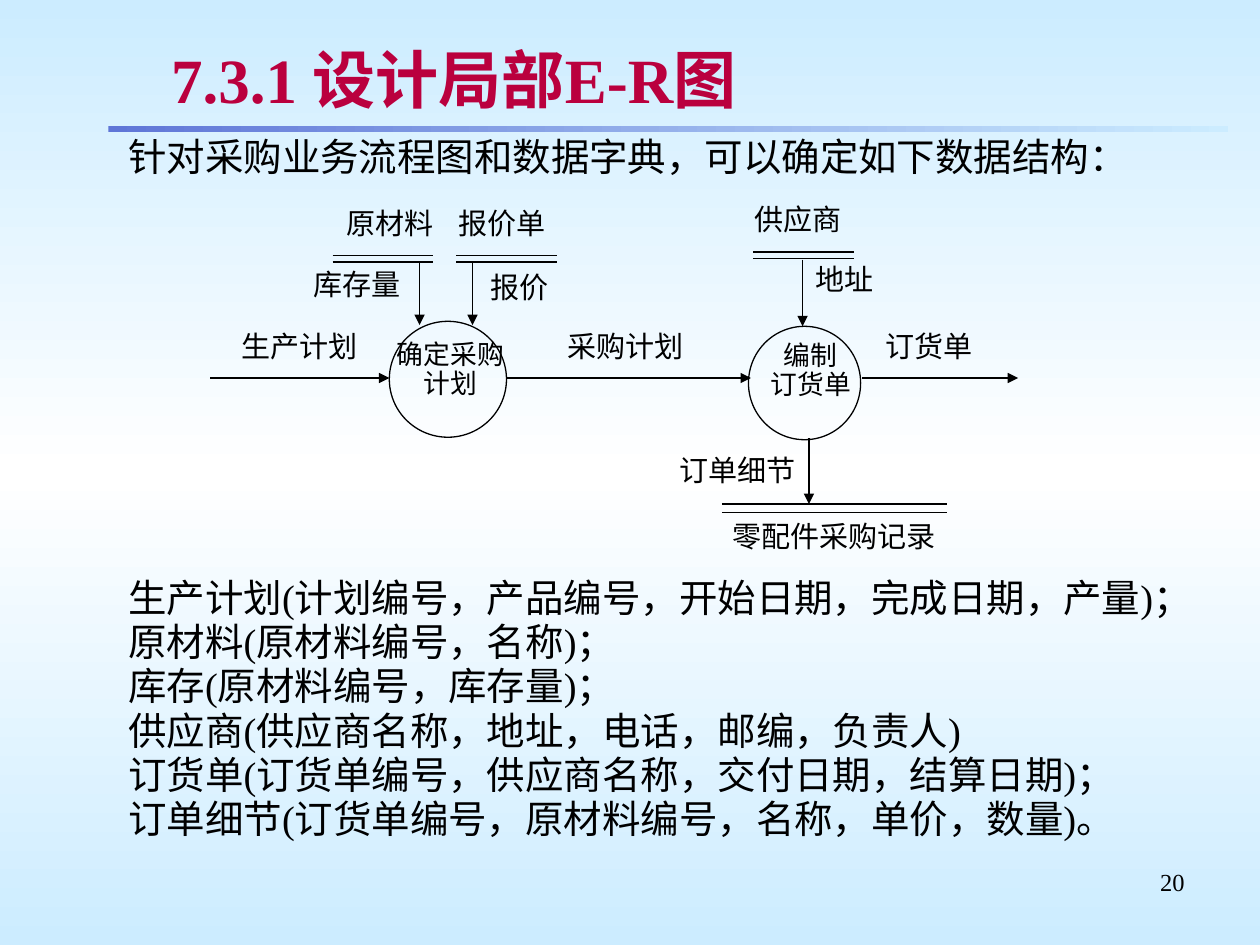
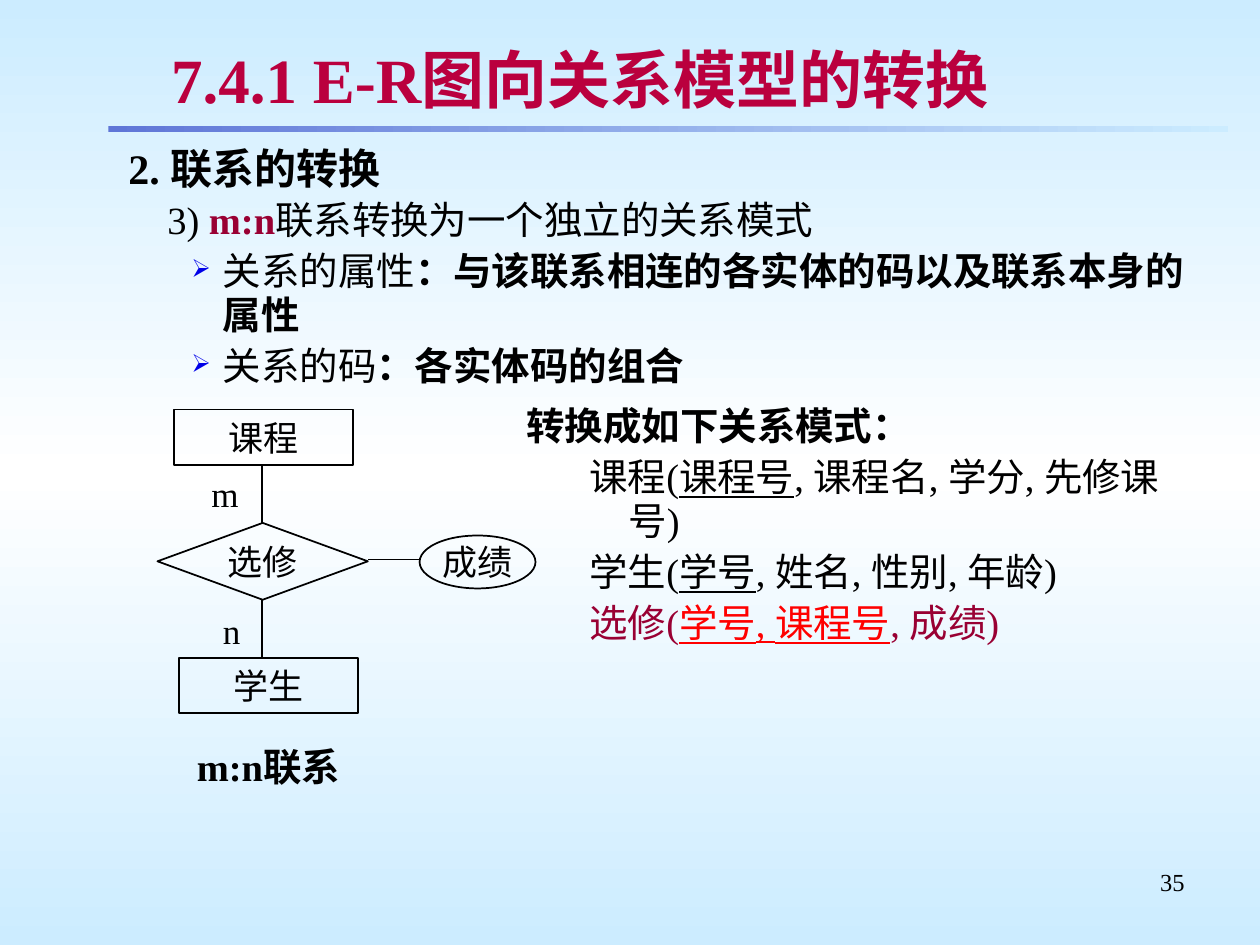
"""Build two slides on E-R diagram design and conversion."""
import copy

import pptx
import pptx.dml.color
import pptx.enum.shapes
import pptx.enum.text
import pptx.oxml
import pptx.oxml.ns
import pptx.util

Inches = pptx.util.Inches
Pt = pptx.util.Pt
SHAPE = pptx.enum.shapes.MSO_SHAPE
ALIGN = pptx.enum.text.PP_ALIGN
ANCHOR = pptx.enum.text.MSO_ANCHOR
qn = pptx.oxml.ns.qn
NS = pptx.oxml.ns.nsdecls("a")

FONT = "Times New Roman"
COLORS = {
    "black": "000000",
    "title": "BA003E",
    "sky": "CCECFF",
    "white": "FFFFFF",
    "band": "5F76D7",
    "bullet": "0000E8",
    "accent": "990033",
    "key": "FF0000",
}
LEVEL1 = {"left": 0.81, "first": -0.31, "before": 4.1}
LEVEL2 = {"left": 1.25, "first": -0.25, "before": 4.1, "bullet": "➢"}
BODY_LEFT, BODY_WIDTH = 0.42, 9.25


def rgb(name):
    """Return the named colour."""
    return pptx.dml.color.RGBColor.from_string(COLORS[name])


def gradient(fill, element, names, angle):
    """Fill with evenly spaced gradient stops."""
    fill.gradient()
    fill.gradient_angle = angle
    stops = next(element.iter(qn("a:gsLst")))
    while len(stops) < len(names):
        stops.append(copy.deepcopy(stops[-1]))
    for i, (stop, name) in enumerate(zip(fill.gradient_stops, names)):
        stop.position = i / (len(names) - 1)
        stop.color.rgb = rgb(name)


def add_text(p, text, *, size=22, bold=False, color="black", underline=False, font=FONT):
    """Add a formatted run to a paragraph."""
    r = p.add_run()
    r.text = text
    r.font.size = Pt(size)
    r.font.bold = bold
    r.font.underline = underline
    r.font.color.rgb = rgb(color)
    r.font.name = font
    return r


def add_bullet(p, char):
    """Give a paragraph a coloured bullet."""
    for xml in (
        f'<a:buClr {NS}><a:srgbClr val="{COLORS["bullet"]}"/></a:buClr>',
        f'<a:buSzPct {NS} val="65000"/>',
        f'<a:buChar {NS} char="{char}"/>',
    ):
        p._p.get_or_add_pPr().append(pptx.oxml.parse_xml(xml))


def add_para(tf, *parts, align=ALIGN.LEFT, left=0, first=0, line=1.0, before=0, bullet=None, **style):
    """Add a paragraph made of strings or (string, format) pairs."""
    p = tf.paragraphs[0]
    if p.runs:
        p = tf.add_paragraph()
        p.space_before = Pt(before)
    p.alignment = align
    p.line_spacing = line
    pPr = p._p.get_or_add_pPr()
    pPr.set("marL", str(Inches(left)))
    pPr.set("indent", str(Inches(first)))
    if bullet:
        add_bullet(p, bullet)
    for part in parts:
        text, own = (part, {}) if isinstance(part, str) else part
        add_text(p, text, **{**style, **own})
    return p


def add_box(s, x, y, w, h, *paras, anchor=ANCHOR.TOP, **style):
    """Add a wrapping text box with plain paragraphs and return its frame."""
    tf = s.shapes.add_textbox(Inches(x), Inches(y), Inches(w), Inches(h)).text_frame
    tf.word_wrap = True
    tf.vertical_anchor = anchor
    for text in paras:
        add_para(tf, text, **style)
    return tf


def add_label(s, x, y, w, *paras, size=16.6, align=ALIGN.CENTER):
    """Add a diagram label."""
    add_box(s, x, y, w, 0.4, *paras, size=size, align=align, line=0.9)


def add_outline(s, kind, x, y, w, h, text="", *, weight=1, wrap=True, font=FONT):
    """Add an unfilled shape with optional centred text."""
    sp = s.shapes.add_shape(kind, Inches(x), Inches(y), Inches(w), Inches(h))
    sp.shadow.inherit = False
    sp.fill.background()
    sp.line.color.rgb = rgb("black")
    sp.line.width = Pt(weight)
    tf = sp.text_frame
    tf.word_wrap = wrap
    tf.vertical_anchor = ANCHOR.MIDDLE
    if text:
        add_para(tf, text, size=20, align=ALIGN.CENTER, font=font)


def add_line(s, x1, y1, x2, y2, *, weight=0.75, arrow=False):
    """Add a straight line, with an arrowhead at its end if asked."""
    c = s.shapes.add_connector(
        pptx.enum.shapes.MSO_CONNECTOR.STRAIGHT, Inches(x1), Inches(y1), Inches(x2), Inches(y2)
    )
    c.line.color.rgb = rgb("black")
    c.line.width = Pt(weight)
    if arrow:
        c.line._get_or_add_ln().append(pptx.oxml.parse_xml(f'<a:tailEnd {NS} type="triangle"/>'))
    c._element.spPr.append(pptx.oxml.parse_xml(f"<a:effectLst {NS}/>"))


def add_store(s, x, y, w, gap=0.05):
    """Add the double line of a data store."""
    for top in (y, y + gap):
        add_line(s, x, top, x + w, top)


def add_title(s, text):
    """Add the slide title with a text shadow."""
    tf = add_box(s, 1.26, 0.29, 8.24, 0.67, anchor=ANCHOR.MIDDLE)
    tf.margin_top = tf.margin_bottom = Inches(0.04)
    p = add_para(tf, text, size=36, bold=True, color="title")
    shadow = pptx.oxml.parse_xml(
        f'<a:effectLst {NS}><a:outerShdw dist="28575" dir="2700000">'
        '<a:srgbClr val="C0C0C0"/></a:outerShdw></a:effectLst>'
    )
    p.runs[0]._r.rPr.find(qn("a:solidFill")).addnext(shadow)


def add_slide(prs, title, number):
    """Add a slide with the shared background, band, title and number."""
    s = prs.slides.add_slide(prs.slide_layouts[6])
    gradient(s.background.fill, s._element, ("sky", "white", "sky"), 90)
    band = s.shapes.add_shape(SHAPE.RECTANGLE, Inches(0.86), Inches(1), Inches(8.89), Inches(0.05))
    band.shadow.inherit = False
    band.line.fill.background()
    gradient(band.fill, band._element, ("band", "sky"), 0)
    add_box(s, 7.17, 6.83, 2.33, 0.52, str(number), size=14, align=ALIGN.RIGHT)
    add_title(s, title)
    return s


def add_purchase_flow(s):
    """Draw the purchasing data flow diagram."""
    for x, y, w, text in (
        (2.34, 2.1, 0.99, "库存量"),
        (3.73, 2.12, 0.79, "报价"),
        (2.56, 1.61, 1.07, "原材料"),
        (3.45, 1.61, 1.07, "报价单"),
        (1.75, 2.59, 1.25, "生产计划"),
        (4.34, 2.59, 1.25, "采购计划"),
        (6.84, 2.59, 1.07, "订货单"),
        (5.23, 3.57, 1.25, "订单细节"),
        (5.64, 4.1, 1.95, "零配件采购记录"),
    ):
        add_label(s, x, y, w, text)
    add_label(s, 5.89, 1.58, 1.07, "供应商", align=ALIGN.LEFT)
    add_label(s, 6.37, 2.06, 0.79, "地址", align=ALIGN.LEFT)
    add_outline(s, SHAPE.OVAL, 3.09, 2.55, 0.93, 0.92, weight=0.75)
    add_outline(s, SHAPE.OVAL, 5.94, 2.59, 0.89, 0.9, weight=0.75)
    add_label(s, 3.04, 2.66, 1.07, "确定采购计划", size=15.3)
    add_label(s, 5.87, 2.67, 1.13, "编制", "订货单", size=15.3)
    for x, y in ((2.64, 2.03), (3.62, 2.03), (5.98, 2)):
        add_store(s, x, y, 0.8)
    add_store(s, 5.73, 4, 1.79, gap=0.07)
    for x1, x2 in ((1.67, 3.09), (4.02, 5.96), (6.84, 8.08)):
        add_line(s, x1, 3, x2, 3, arrow=True)
    for x, y1, y2 in ((3.33, 2.08, 2.58), (3.75, 2.08, 2.58), (6.37, 2.06, 2.59), (6.42, 3.48, 4)):
        add_line(s, x, y1, x, y2, arrow=True)


def add_er_diagram(s):
    """Draw the many-to-many E-R diagram."""
    add_box(s, 1.42, 5.85, 1.42, 0.47, "m:n联系", bold=True, align=ALIGN.CENTER)
    add_outline(s, SHAPE.RECTANGLE, 1.38, 3.25, 1.42, 0.44, "课程")
    add_outline(s, SHAPE.DIAMOND, 1.25, 4.15, 1.67, 0.61, "选修", wrap=False)
    add_outline(s, SHAPE.RECTANGLE, 1.42, 5.22, 1.42, 0.44, "学生")
    add_outline(s, SHAPE.OVAL, 3.33, 4.25, 0.92, 0.42, "成绩", wrap=False, font="Arial")
    add_box(s, 1.58, 3.7, 0.42, 0.44, "m", size=20)
    add_box(s, 1.67, 4.79, 0.42, 0.44, "n", size=20)
    for ends in ((2.08, 4.15, 2.08, 3.69), (2.08, 5.22, 2.08, 4.76), (3.33, 4.44, 2.92, 4.44)):
        add_line(s, *ends, weight=1)


def add_local_er_slide(prs):
    """Build the slide on designing the local E-R diagram."""
    s = add_slide(prs, "7.3.1 设计局部E-R图", 20)
    intro = "针对采购业务流程图和数据字典，可以确定如下数据结构："
    add_box(s, BODY_LEFT, 1.08, BODY_WIDTH, 0.42, intro, line=0.8, **LEVEL1)
    add_purchase_flow(s)
    structures = (
        "生产计划(计划编号，产品编号，开始日期，完成日期，产量)；",
        "原材料(原材料编号，名称)；",
        "库存(原材料编号，库存量)；",
        "供应商(供应商名称，地址，电话，邮编，负责人)",
        "订货单(订货单编号，供应商名称，交付日期，结算日期)；",
        "订单细节(订货单编号，原材料编号，名称，单价，数量)。",
    )
    add_box(s, BODY_LEFT, 4.58, BODY_WIDTH, 2.33, *structures, line=0.8, **LEVEL1)


def add_conversion_slide(prs):
    """Build the slide on converting relationships to relations."""
    s = add_slide(prs, "7.4.1 E-R图向关系模型的转换", 35)
    bold, under = {"bold": True}, {"underline": True}
    tf = add_box(s, BODY_LEFT, 1.08, BODY_WIDTH, 2.08)
    add_para(tf, "2. 联系的转换", size=24, bold=True, **LEVEL1)
    add_para(
        tf, "3) ", ("m:n", {"bold": True, "color": "accent"}), "联系转换为一个独立的关系模式",
        line=0.95, **{**LEVEL1, "first": 0},
    )
    for term, meaning in (
        ("关系的属性", "：与该联系相连的各实体的码以及联系本身的属性"),
        ("关系的码", "：各实体码的组合"),
    ):
        add_para(tf, term, (meaning, bold), line=0.95, **LEVEL2)
    add_er_diagram(s)
    tf = add_box(s, 4.08, 3.17, 5.58, 3)
    add_para(tf, "转换成如下关系模式：", bold=True, left=0.38, first=-0.38, line=0.95)
    for name, key, rest, color, key_color in (
        ("课程(", "课程号", ", 课程名, 学分, 先修课号)", "black", "black"),
        ("学生(", "学号", ", 姓名, 性别, 年龄)", "black", "black"),
        ("选修(", "学号, 课程号", ", 成绩)", "accent", "key"),
    ):
        add_para(tf, name, (key, {**under, "color": key_color}), rest, color=color, line=0.95, **LEVEL1)


def main():
    """Build and save the presentation."""
    prs = pptx.Presentation()
    prs.slide_width, prs.slide_height = Inches(10), Inches(7.5)
    add_local_er_slide(prs)
    add_conversion_slide(prs)
    prs.save("out.pptx")


if __name__ == "__main__":
    main()
